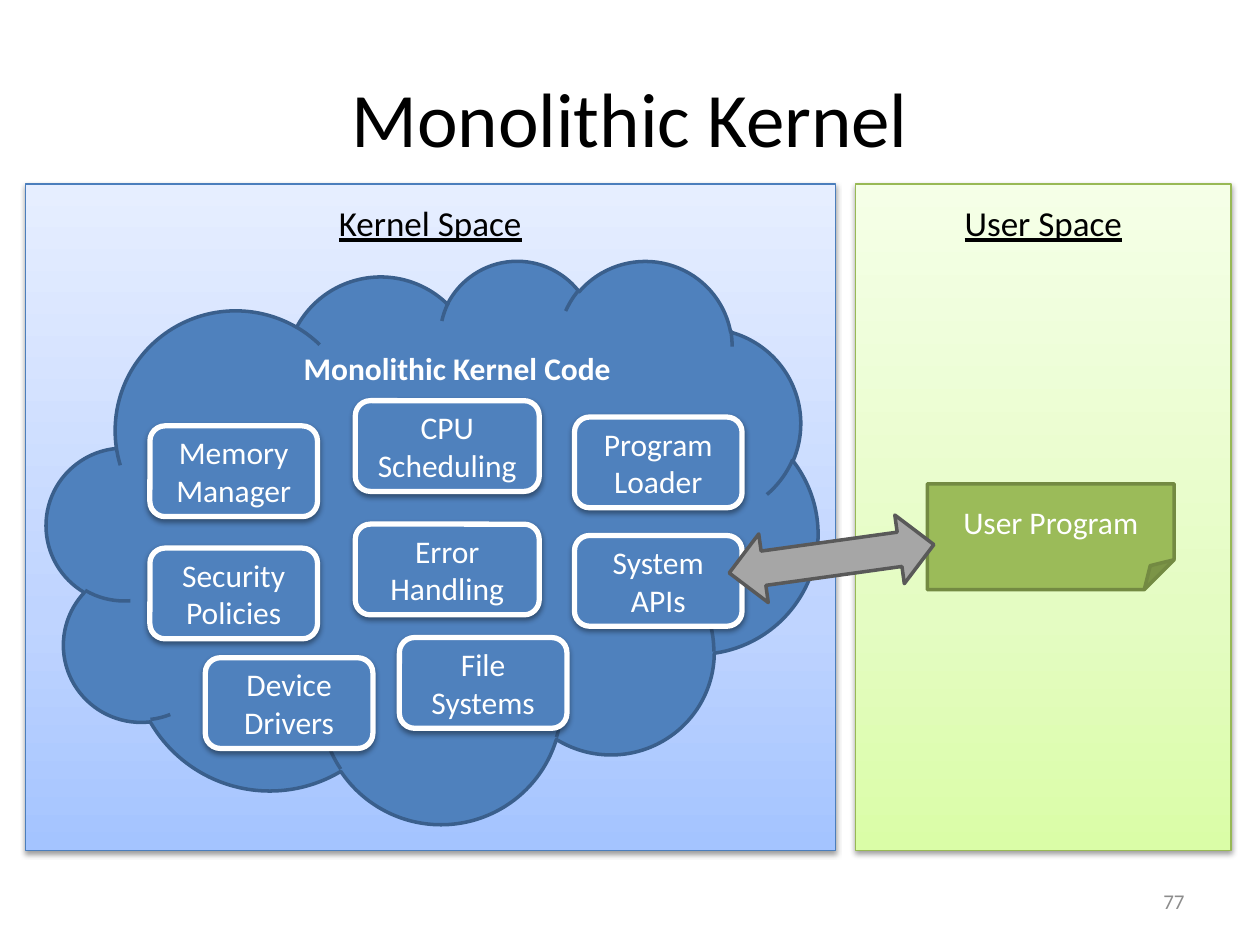
from dataclasses import dataclass

from lxml.etree import SubElement as Sub
from pptx import Presentation
from pptx.dml.color import RGBColor
from pptx.enum.shapes import MSO_SHAPE as Kind
from pptx.enum.text import MSO_ANCHOR as Anchor, PP_ALIGN as Align
from pptx.oxml.ns import qn
from pptx.util import Inches, Pt

FONT = "Calibri"
HUES = {
    "black": "000000", "white": "FFFFFF", "number": "8C8C8C",
    "blue": "4F81BD", "navy": "3A5F8C", "rim": "4B7EBC",
    "green": "9BBB59", "olive": "738A42", "lime": "98B955",
    "gray": "A6A6A6", "dark": "595959",
}
SKY = ("A4C4FF", "BFD4FF", "E6EEFF")
LEAF = ("DAFDA7", "E4FCC2", "F5FFE7")
STOPS = (0, 35, 100)


@dataclass
class Space:
    title: str
    left: float
    width: float
    fade: tuple
    line: str


@dataclass
class Module:
    text: str
    left: float
    top: float
    width: float = 1.33


SPACES = [
    Space("User Space", 6.79, 2.98, LEAF, "lime"),
    Space("Kernel Space", 0.2, 6.43, SKY, "rim"),
]
MODULES = [
    Module("Memory Manager", 1.19, 3.38),
    Module("CPU Scheduling", 2.82, 3.18, 1.46),
    Module("Program Loader", 4.56, 3.31),
    Module("Security Policies", 1.19, 4.35),
    Module("Error Handling", 2.82, 4.16, 1.46),
    Module("System APIs", 4.56, 4.25),
    Module("Device Drivers", 1.63, 5.22),
    Module("File Systems", 3.17, 5.06),
]


def hue(name: str) -> RGBColor:
    return RGBColor.from_string(HUES[name])


def write(shape, text: str, size: int, color: str, align=Align.CENTER,
          anchor=Anchor.MIDDLE, wrap: bool = True):
    frame = shape.text_frame
    frame.word_wrap = wrap
    frame.vertical_anchor = anchor
    par = frame.paragraphs[0]
    par.text = text
    par.alignment = align
    par.font.name = FONT
    par.font.size = Pt(size)
    par.font.color.rgb = hue(color)
    return par.font


def label(slide, box: tuple, text: str, size: int, color: str, **look):
    area = slide.shapes.add_textbox(*map(Inches, box))
    return write(area, text, size, color, **look)


def draw(slide, kind, box: tuple, fill: str, line: str, width: float):
    shape = slide.shapes.add_shape(kind, *map(Inches, box))
    shape.shadow.inherit = False
    shape.fill.solid()
    shape.fill.fore_color.rgb = hue(fill)
    shape.line.color.rgb = hue(line)
    shape.line.width = Pt(width)
    return shape


def shade(shape) -> None:
    """Cast a soft shadow straight down."""
    effects = shape.element.spPr.find(qn("a:effectLst"))
    outer = Sub(effects, qn("a:outerShdw"), blurRad=str(Pt(3.1)),
                dist=str(Pt(1.6)), dir="5400000", rotWithShape="0")
    color = Sub(outer, qn("a:srgbClr"), val=HUES["black"])
    Sub(color, qn("a:alpha"), val="38000")


def blend(shape, fade: tuple) -> None:
    """Fill with a three-stop gradient, rising from the bottom."""
    shape.fill.gradient()
    shape.fill.gradient_angle = 90
    stops = shape.element.spPr.find(".//" + qn("a:gsLst"))
    for old in list(stops):
        stops.remove(old)
    for pos, tint in zip(STOPS, fade):
        stop = Sub(stops, qn("a:gs"), pos=str(pos * 1000))
        Sub(stop, qn("a:srgbClr"), val=tint)


def add_space(slide, space: Space) -> None:
    panel = draw(slide, Kind.RECTANGLE, (space.left, 1.46, space.width, 5.29),
                 "white", space.line, 0.75)
    blend(panel, space.fade)
    shade(panel)
    font = label(slide, (space.left, 1.55, space.width, 0.44), space.title,
                 20, "black", anchor=Anchor.TOP, wrap=False)
    font.underline = True


def add_module(slide, part: Module) -> None:
    box = (part.left, part.top, part.width, 0.72)
    shape = draw(slide, Kind.ROUNDED_RECTANGLE, box, "blue", "white", 3)
    shade(shape)
    write(shape, part.text, 18, "white")


def main() -> None:
    deck = Presentation()
    deck.slide_width, deck.slide_height = Inches(10), Inches(7.5)
    slide = deck.slides.add_slide(deck.slide_layouts[6])

    # Title and slide number
    label(slide, (0.5, 0.3, 9, 1.25), "Monolithic Kernel", 44, "black")
    label(slide, (7.17, 6.95, 2.33, 0.4), "77", 12, "number",
          align=Align.RIGHT)

    # Two address spaces
    for space in SPACES:
        add_space(slide, space)

    # Kernel cloud with its modules
    draw(slide, Kind.CLOUD, (0.37, 2.06, 6.12, 4.47), "blue", "navy", 2)
    for part in MODULES:
        add_module(slide, part)
    font = label(slide, (2.3, 2.72, 2.66, 0.4), "Monolithic Kernel Code", 18,
                 "white", anchor=Anchor.TOP, wrap=False)
    font.bold = True

    # User program, with a larger fold than the preset gives
    program = draw(slide, Kind.FOLDED_CORNER, (7.36, 3.84, 1.96, 0.84),
                   "green", "olive", 2)
    guides = program.element.spPr.find(".//" + qn("a:avLst"))
    Sub(guides, qn("a:gd"), name="adj", fmla="val 28300")
    write(program, "User Program", 18, "white")

    # Link between the system APIs and the user program
    arrow = draw(slide, Kind.LEFT_RIGHT_ARROW, (5.78, 4.16, 1.64, 0.55),
                 "gray", "dark", 2)
    arrow.rotation = 352.1

    deck.save("out.pptx")


if __name__ == "__main__":
    main()
